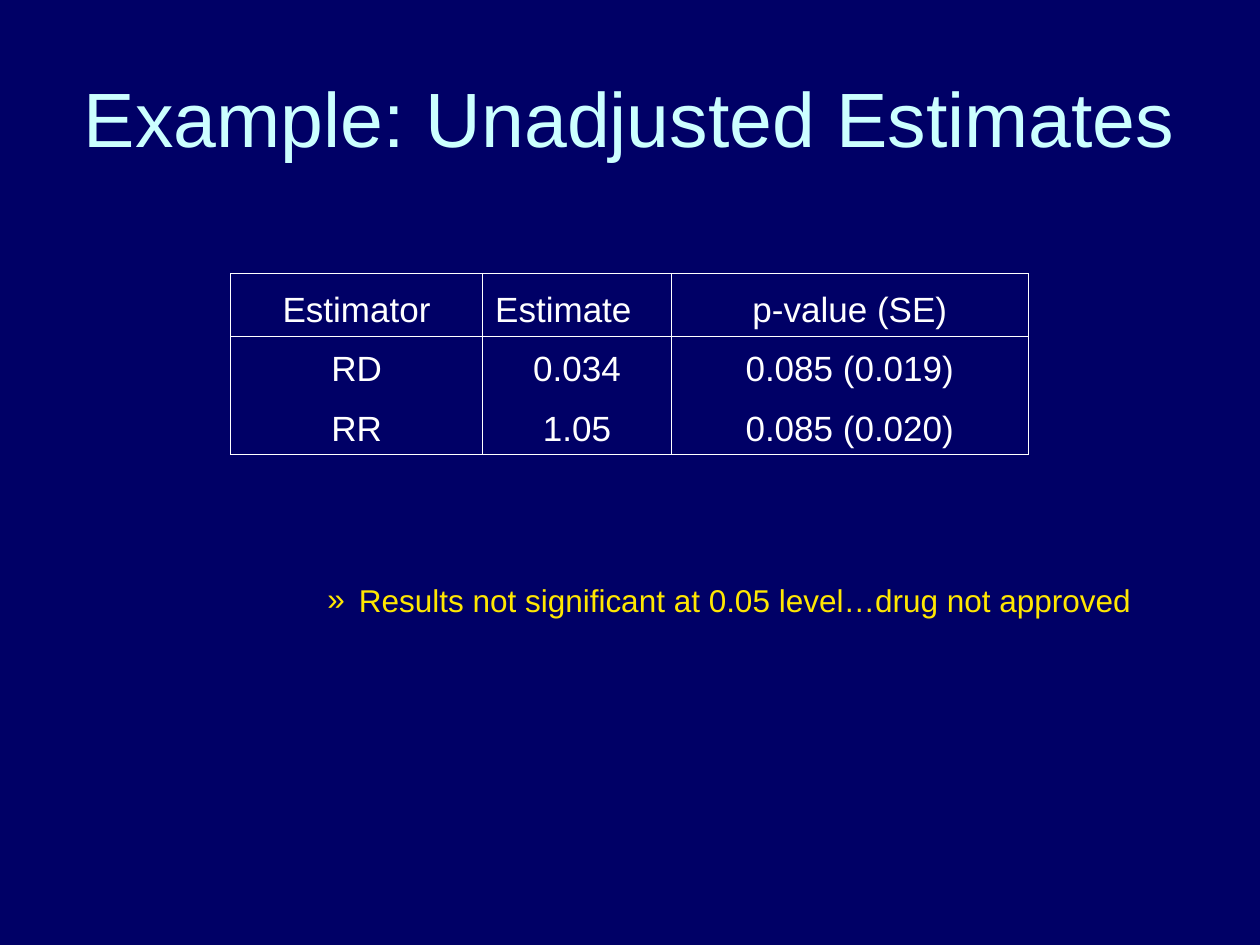
from lxml.etree import SubElement
from pptx import Presentation
from pptx.dml.color import RGBColor
from pptx.enum.text import MSO_ANCHOR, PP_ALIGN
from pptx.oxml.ns import qn
from pptx.util import Inches, Pt

COLORS = {"bg": "000066", "title": "CCFFFF", "table": "FFFFFF", "note": "FFE701"}


def add_run(p, text, size, color):
    r = p.add_run()
    r.text = text
    r.font.name = "Arial"
    r.font.size = Pt(size)
    r.font.color.rgb = RGBColor.from_string(COLORS[color])


def add_border(cell, side, visible):
    ln = SubElement(cell._tc.get_or_add_tcPr(), qn(f"a:ln{side}"), w=str(Pt(0.45)))
    if visible:
        fill = SubElement(ln, qn("a:solidFill"))
        SubElement(fill, qn("a:srgbClr"), val=COLORS["table"])
    else:
        SubElement(ln, qn("a:noFill"))


prs = Presentation()
prs.slide_width = Inches(10)
prs.slide_height = Inches(7.5)
s = prs.slides.add_slide(prs.slide_layouts[6])
s.background.fill.solid()
s.background.fill.fore_color.rgb = RGBColor.from_string(COLORS["bg"])

title = s.shapes.add_textbox(Inches(0.5), Inches(0.3), Inches(9), Inches(1.25))
tf = title.text_frame
tf.word_wrap = True
tf.vertical_anchor = MSO_ANCHOR.MIDDLE
p = tf.paragraphs[0]
p.alignment = PP_ALIGN.CENTER
add_run(p, "Example: Unadjusted Estimates", 44, "title")

note = s.shapes.add_textbox(Inches(0.5), Inches(4.56), Inches(8.67), Inches(0.4))
tf = note.text_frame
tf.word_wrap = True
p = tf.paragraphs[0]
pPr = p._p.get_or_add_pPr()
pPr.set("marL", str(Inches(2.25)))
pPr.set("indent", str(Inches(-0.25)))
SubElement(SubElement(pPr, qn("a:buClr")), qn("a:srgbClr"), val=COLORS["note"])
SubElement(pPr, qn("a:buFont"), typeface="Arial")
SubElement(pPr, qn("a:buChar"), char="»")
add_run(p, "Results not significant at 0.05 level…drug not approved", 18, "note")

rows = [
    ["Estimator", "Estimate", "p-value (SE)"],
    ["RD", "0.034", "0.085 (0.019)"],
    ["RR", "1.05", "0.085 (0.020)"],
]
widths = [2, 1.5, 2.83]
heights = [0.5, 0.47, 0.47]
table = s.shapes.add_table(
    len(rows), len(widths), Inches(1.83), Inches(2.17),
    Inches(sum(widths)), Inches(sum(heights)),
).table
table.first_row = False
table.horz_banding = False
for column, width in zip(table.columns, widths):
    column.width = Inches(width)
for i, (row, height) in enumerate(zip(rows, heights)):
    table.rows[i].height = Inches(height)
    for j, text in enumerate(row):
        cell = table.cell(i, j)
        cell.vertical_anchor = MSO_ANCHOR.BOTTOM
        for side in "LRTB":
            add_border(cell, side, (i, side) not in [(1, "B"), (2, "T")])
        cell.fill.background()
        p = cell.text_frame.paragraphs[0]
        p.alignment = PP_ALIGN.LEFT if text == "Estimate" else PP_ALIGN.CENTER
        add_run(p, text, 20, "table")

prs.save("out.pptx")
